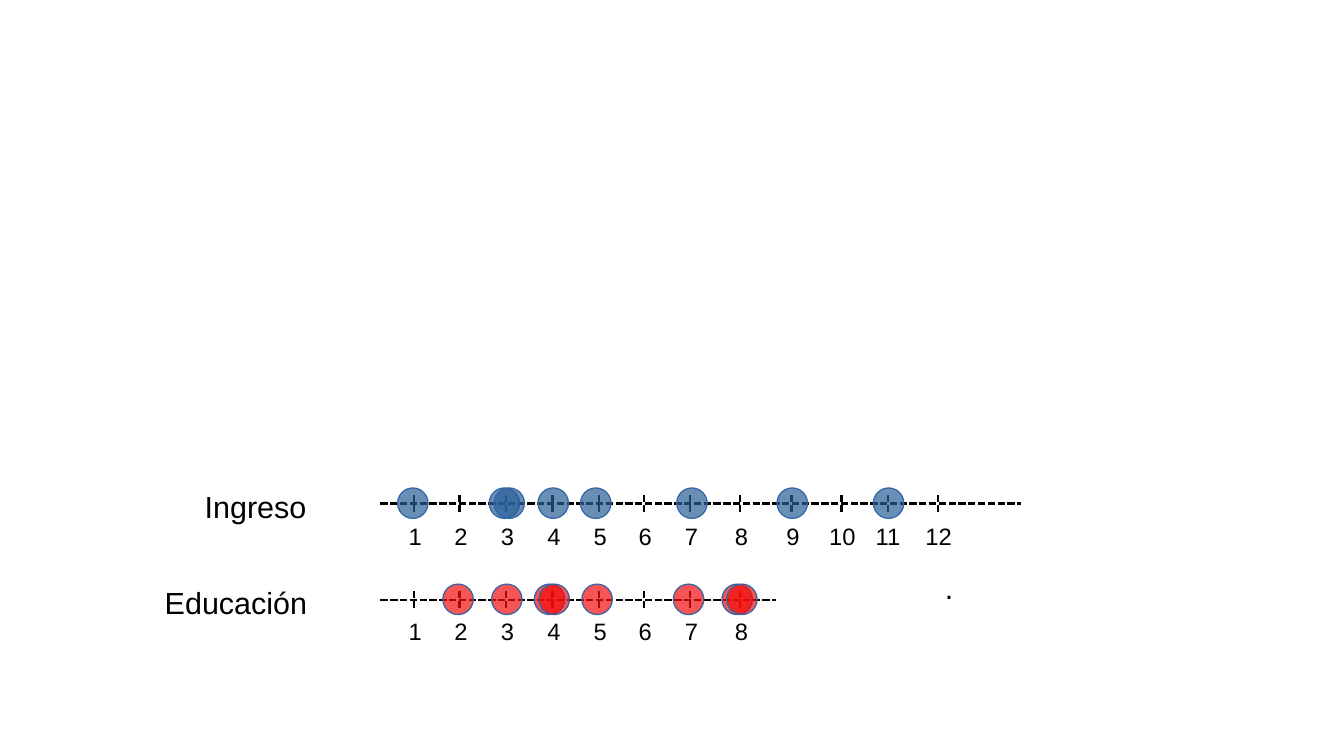
"""Draw two dotted number lines, for income and education."""
from pptx import Presentation
from pptx.dml.color import RGBColor as Rgb
from pptx.enum.dml import MSO_LINE as Dash
from pptx.enum.shapes import MSO_CONNECTOR as Link, MSO_SHAPE as Shape
from pptx.enum.text import PP_ALIGN as Align
from pptx.oxml.xmlchemy import OxmlElement as Node
from pptx.util import Pt

BLACK = Rgb(0x00, 0x00, 0x00)
BLUE = Rgb(0x2A, 0x60, 0x99)
RED = Rgb(0xF1, 0x0D, 0x0C)
RIM = Rgb(0x34, 0x65, 0xA4)

START = 224.6
TICKS = [244.4, 271.4, 298.8, 326.2, 353.5, 380.2,
         407.5, 437, 467.3, 496.8, 524.2, 553.7]
INCOME = [(1, -0.7), (3, -1), (3, 1.8), (5, -1.8),
          (4, 0.4), (7, 1), (9, 0.4), (11, 0.4)]
SCHOOL = [(2, -1), (3, 0.4), (4, -1.8), (4, 1),
          (5, -1), (7, -1), (8, -1.8), (8, 1)]


class Board:
    """Hold the style and the current slide."""

    font = "Arial"
    weight = 1.45
    size = 18

    def __init__(self, slide):
        self.slide = slide
        self.shapes = slide.shapes

    def line(self, x1, y1, x2, y2):
        """Add a dashed line."""
        line = self.shapes.add_connector(
            Link.STRAIGHT, Pt(x1), Pt(y1), Pt(x2), Pt(y2))
        line.line.color.rgb = BLACK
        line.line.width = Pt(self.weight)
        line.line.dash_style = Dash.SQUARE_DOT
        line._element.spPr.append(Node("a:effectLst"))

    def text(self, words, x, y, wide, high, size, align=Align.LEFT):
        """Add a text box."""
        box = self.shapes.add_textbox(Pt(x), Pt(y), Pt(wide), Pt(high))
        box.text_frame.word_wrap = True
        para = box.text_frame.paragraphs[0]
        para.text = words
        para.alignment = align
        para.font.name = self.font
        para.font.size = Pt(size)
        para.font.color.rgb = BLACK

    def dot(self, x, y, color):
        """Add a see-through dot centred at x, y."""
        dot = self.shapes.add_shape(
            Shape.OVAL, Pt(x - self.size / 2), Pt(y - self.size / 2),
            Pt(self.size), Pt(self.size))
        dot.shadow.inherit = False
        dot.fill.solid()
        dot.fill.fore_color.rgb = color
        alpha = Node("a:alpha")
        alpha.set("val", "70000")
        dot.fill._xPr.solidFill[0].append(alpha)
        dot.line.color.rgb = RIM
        dot.line.width = Pt(0)

    def scale(self, name, left, y, end, count, drop, dots, color):
        """Add a number line with its name, ticks and dots."""
        self.line(START, y, end, y)
        for num, x in enumerate(TICKS[:count], 1):
            self.line(x, y - 5.2, x, y + 6.3)
            inset, wide = (10.2, 22.3) if num < 10 else (14.4, 36.7)
            self.text(str(num), x - inset, y + drop, wide, 23, 14)
        for num, nudge in dots:
            self.dot(TICKS[num - 1] + nudge, y - 0.3, color)
        self.text(name, left, y - 13, 131.8, 27.4, 18, Align.CENTER)


def main():
    deck = Presentation()
    deck.slide_width = Pt(793.44)
    deck.slide_height = Pt(446.4)
    board = Board(deck.slides.add_slide(deck.slide_layouts[6]))
    board.scale("Educación", 73.4, 354.2, 458, 8, 6.5, SCHOOL, RED)
    board.text(".", 550.8, 332.6, 25.2, 27.4, 18)
    board.scale("Ingreso", 85, 297.4, 602.6, 12, 7.2, INCOME, BLUE)
    deck.save("out.pptx")


if __name__ == "__main__":
    main()
